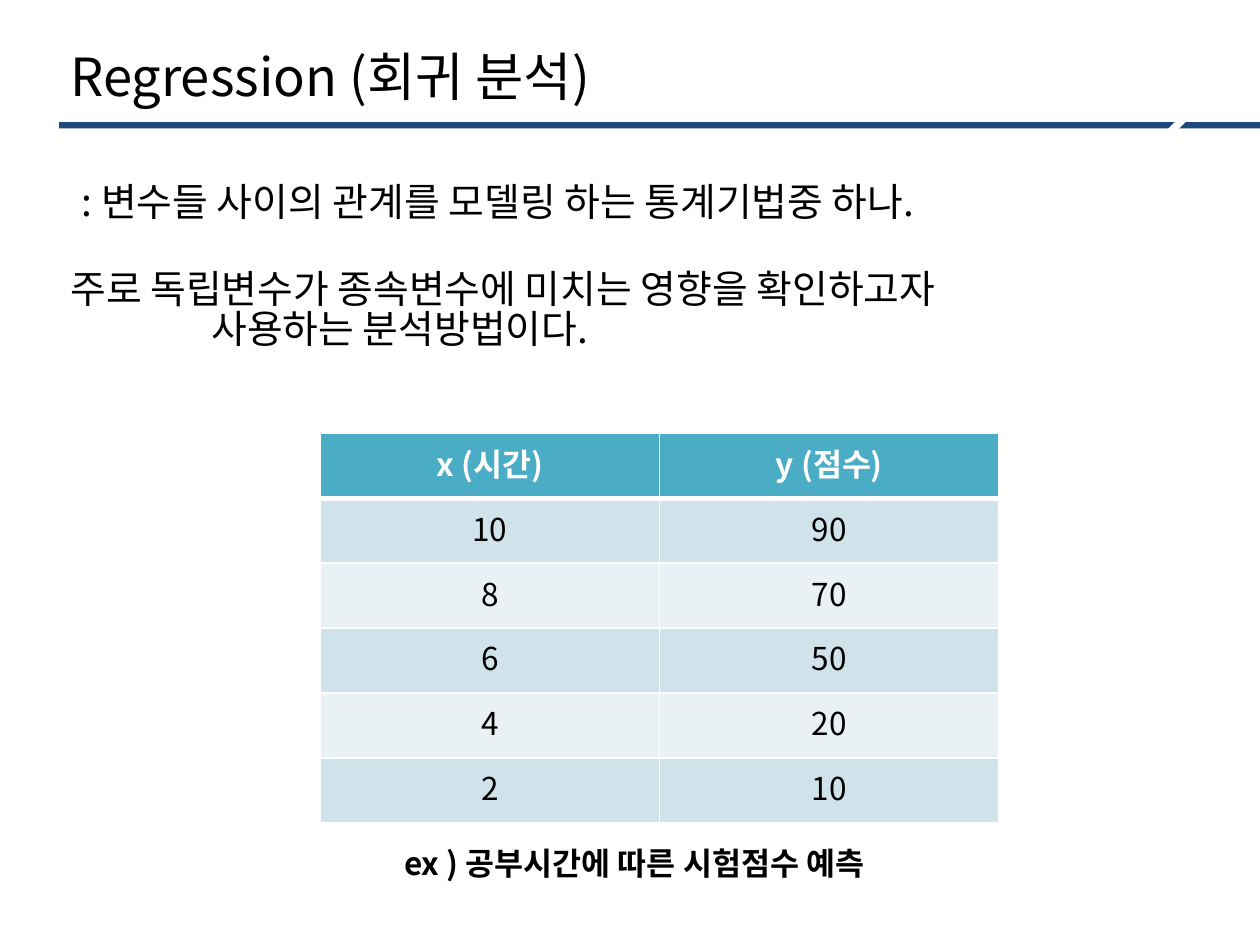
from pptx import Presentation
from pptx.dml.color import RGBColor
from pptx.enum.shapes import MSO_SHAPE as Form
from pptx.enum.text import MSO_ANCHOR as Anchor, PP_ALIGN as Align
from pptx.oxml.ns import qn
from pptx.util import Inches, Pt
from lxml.etree import SubElement as add_sub

FACE = "Noto Sans CJK KR"
BLACK = RGBColor(0, 0, 0)
WHITE = RGBColor(255, 255, 255)
NAVY = RGBColor(0x1F, 0x49, 0x7D)
TEAL = RGBColor(0x4B, 0xAC, 0xC6)
BANDS = (RGBColor(0xD0, 0xE3, 0xEA), RGBColor(0xE9, 0xF1, 0xF5))
WIDE, HIGH = Inches(10), Inches(7.5)

ROWS = [("x (시간)", "y (점수)"), (10, 90), (8, 70), (6, 50), (4, 20), (2, 10)]


def share(x, y, w, h):
    """Turn percentages of the slide into a box of lengths."""
    return [int(side * part / 100)
            for side, part in zip((WIDE, HIGH, WIDE, HIGH), (x, y, w, h))]


def style(para, size, color=BLACK, bold=False):
    for run in para.runs:
        for key, value in {"name": FACE, "size": Pt(size), "bold": bold}.items():
            setattr(run.font, key, value)
        run.font.color.rgb = color
        add_sub(run._r.get_or_add_rPr(), qn("a:ea")).set("typeface", FACE)


def add_text(slide, box, lines, size, bold=False):
    frame = slide.shapes.add_textbox(*box).text_frame
    frame.word_wrap = True
    frame.vertical_anchor = Anchor.MIDDLE
    for i, line in enumerate(lines):
        para = frame.add_paragraph() if i else frame.paragraphs[0]
        para.text = line
        style(para, size, bold=bold)
    return frame.paragraphs


def add_bar(slide, box, color, turn=0):
    bar = slide.shapes.add_shape(Form.RECTANGLE, *box)
    bar.shadow.inherit = False
    bar.fill.solid()
    bar.fill.fore_color.rgb = color
    bar.line.fill.background()
    bar.rotation = turn


def add_head(slide, box):
    """Title over a rule that a slanted gap cuts near its right end."""
    x, y, w, h = box
    add_text(slide, share(x, y, 86.8, h), ["Regression (회귀 분석)"], 30)
    add_bar(slide, share(x + 0.1, y + 9.43, w - 0.1, 0.67), NAVY)
    add_bar(slide, share(x + 86.7, y + 9.03, 4.7, 0.8), WHITE, 135)


def add_body(slide, box):
    first, second = add_text(slide, share(*box), [
        ": 변수들 사이의 관계를 모델링 하는 통계기법중 하나.",
        "주로 독립변수가 종속변수에 미치는 영향을 확인하고자\v사용하는 분석방법이다."], 22.2)
    second.space_before = Pt(27)
    for para, left, shift in ((first, 0.09, 0), (second, 1.12, -1.12)):
        para.line_spacing = 0.86
        props = para._p.get_or_add_pPr()
        props.set("marL", str(Inches(left)))
        props.set("indent", str(Inches(shift)))


def add_edges(cell, low):
    """Draw white cell borders, the lower one `low` points wide."""
    props = cell._tc.get_or_add_tcPr()
    for i, (side, width) in enumerate(zip("LRTB", (1, 1, 1, low))):
        edge = props.makeelement(qn("a:ln" + side), {"w": str(Pt(width))})
        fill = add_sub(edge, qn("a:solidFill"))
        add_sub(fill, qn("a:srgbClr")).set("val", str(WHITE))
        props.insert(i, edge)


def add_scores(slide, box):
    x, y, w, h = share(*box)
    grid = slide.shapes.add_table(len(ROWS), 2, x, y, w, h).table
    for r, row in enumerate(ROWS):
        head = r == 0
        for c, value in enumerate(row):
            cell = grid.cell(r, c)
            cell.text = str(value)
            cell.vertical_anchor = Anchor.TOP
            cell.fill.solid()
            cell.fill.fore_color.rgb = TEAL if head else BANDS[(r - 1) % 2]
            para = cell.text_frame.paragraphs[0]
            para.alignment = Align.CENTER
            style(para, 18, WHITE if head else BLACK, head)
            add_edges(cell, 3 if r < 1 else 1)
            if r == 1:
                top = cell._tc.tcPr.find(qn("a:lnT"))
                top.set("w", str(Pt(3)))


def main():
    deck = Presentation()
    deck.slide_width, deck.slide_height = WIDE, HIGH
    slide = deck.slides.add_slide(deck.slide_layouts[6])
    add_head(slide, (4.6, 3.5, 95.4, 9))
    add_body(slide, (4.6, 17.73, 90.9, 21.2))
    add_scores(slide, (25.4, 45.87, 53.9, 41.2))
    add_text(slide, share(31.1, 88.67, 64, 5.33),
             ["ex ) 공부시간에 따른 시험점수 예측"], 18, True)
    deck.save("out.pptx")


if __name__ == "__main__":
    main()
